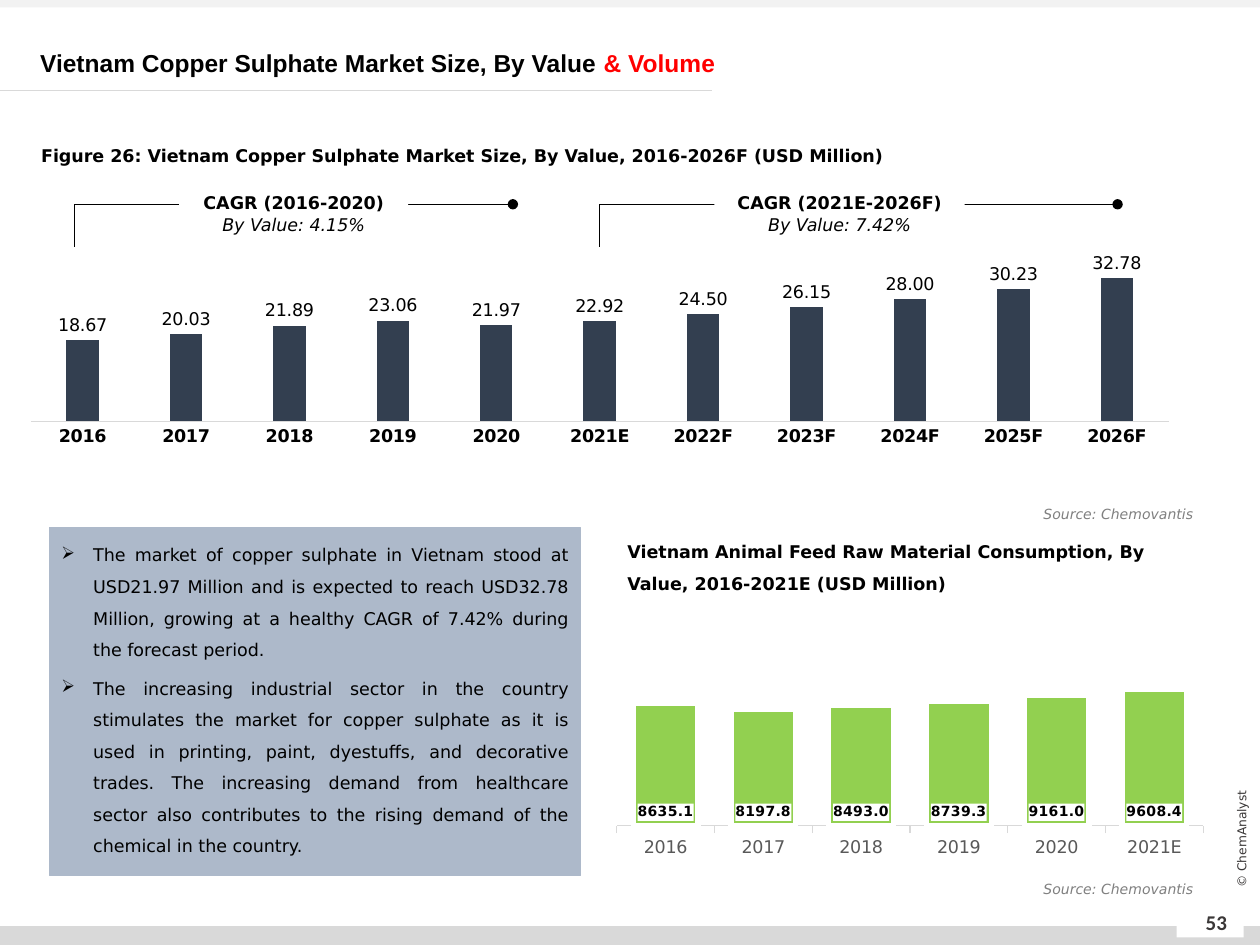
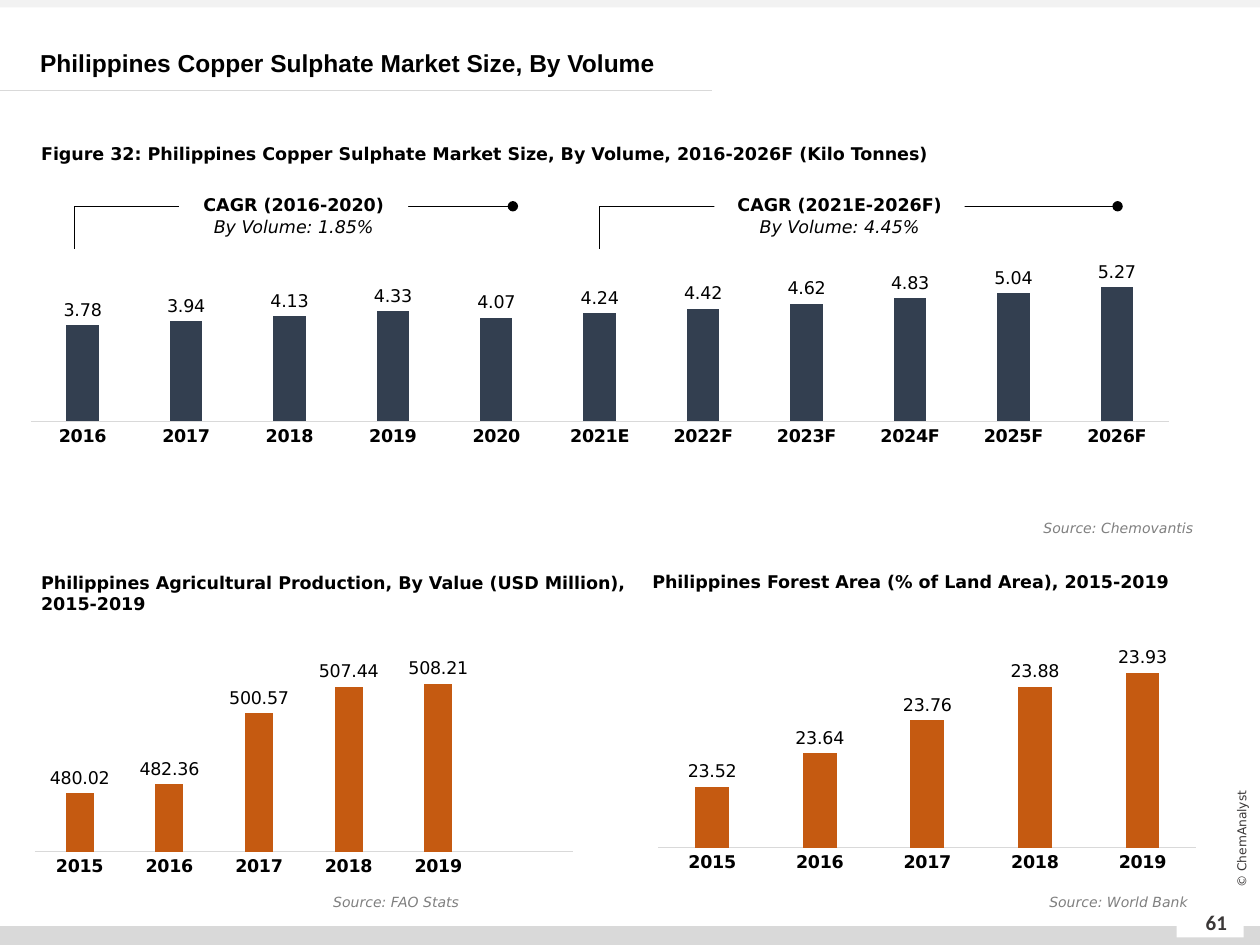
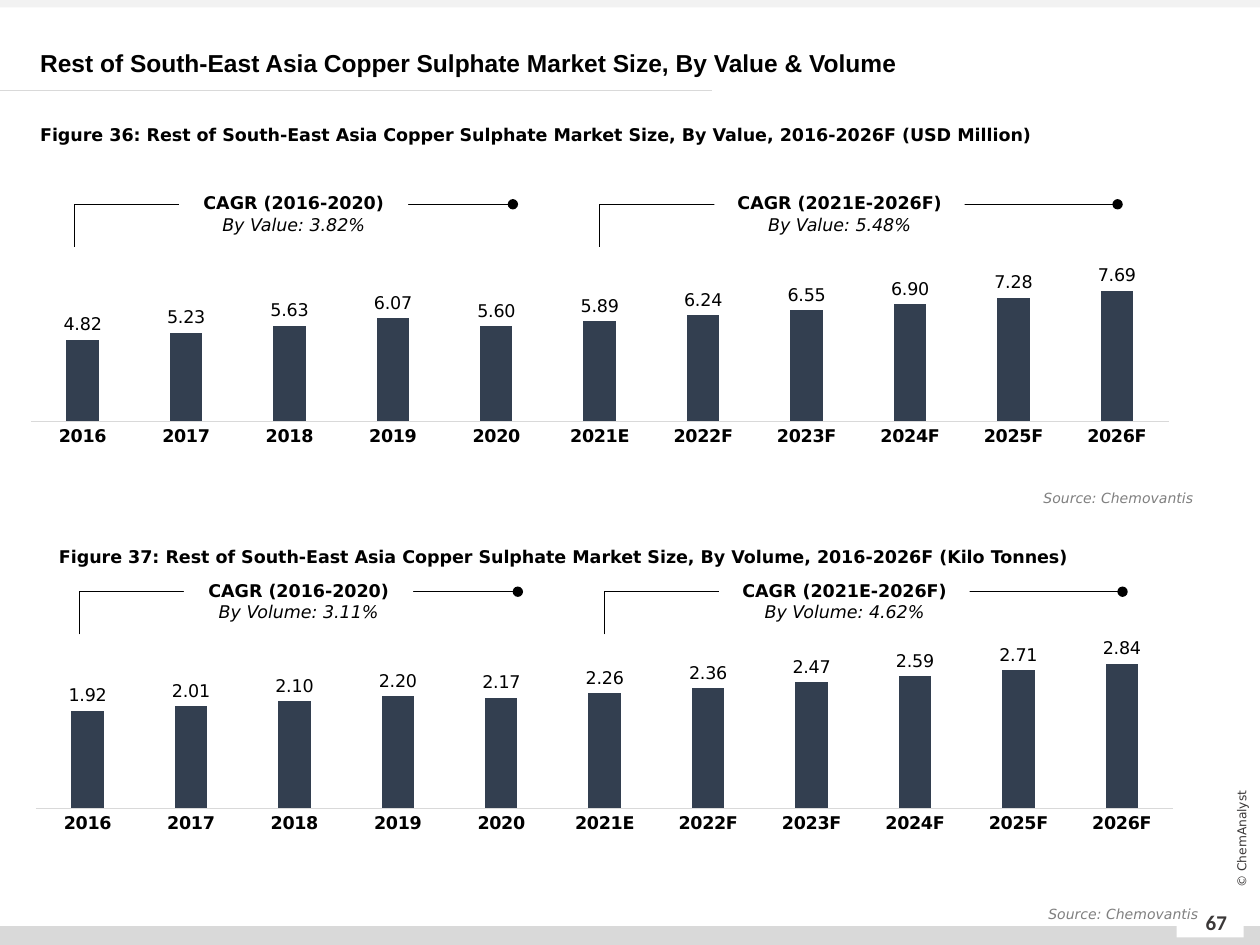
"""Build three slides on copper sulphate markets in South-East Asia."""
from lxml import etree
from pptx import Presentation, oxml
from pptx import util as u
from pptx.chart.data import CategoryChartData
from pptx.dml.color import RGBColor
from pptx.enum import chart as ch, shapes, text
from pptx.oxml.ns import nsdecls, qn

hues = {"ink": "000000", "red": "FF0000", "white": "FFFFFF", "dark": "3B3838",
        "gray": "808080", "tick": "595959", "rule": "D9D9D9", "top": "F2F2F2",
        "navy": "333F50", "rust": "C55A11", "green": "92D050", "panel": "ADB9CA"}
rgb = {key: RGBColor.from_string(val) for key, val in hues.items()}
sans = "DejaVu Sans"
styles = {"title": (14, "Arial", "ink", True, False),
          "accent": (14, "Arial", "red", True, False),
          "page": (12, "Calibri", "dark", True, False),
          "rights": (7, sans, "dark", False, False),
          "head": (10, sans, "ink", True, False),
          "body": (10, sans, "ink", False, False),
          "rate": (10, sans, "ink", False, True),
          "source": (8, sans, "gray", False, True)}
left, mid, right, full = (text.PP_ALIGN.LEFT, text.PP_ALIGN.CENTER,
                          text.PP_ALIGN.RIGHT, text.PP_ALIGN.JUSTIFY)


def put(slide, box, paras=(), fill=None, align=left, space=None, middle=False):
    """Add a box, filled or plain, with paragraphs of (text, style) runs."""
    area = [u.Cm(n) for n in box]
    if fill:
        shape = slide.shapes.add_shape(shapes.MSO_SHAPE.RECTANGLE, *area)
        shape.shadow.inherit = False
        shape.fill.solid()
        shape.fill.fore_color.rgb = rgb[fill]
        shape.line.fill.background()
    else:
        shape = slide.shapes.add_textbox(*area)
    frame = shape.text_frame
    frame.word_wrap = True
    frame.vertical_anchor = text.MSO_ANCHOR.MIDDLE if middle else text.MSO_ANCHOR.TOP
    for i, runs in enumerate(paras):
        para = frame.add_paragraph() if i else frame.paragraphs[0]
        para.alignment = align
        if space:
            para.line_spacing = space
        for words, style in runs:
            run = para.add_run()
            run.text = words
            font = run.font
            size, font.name, hue, font.bold, font.italic = styles[style]
            font.size = u.Pt(size)
            font.color.rgb = rgb[hue]
    return shape


def plot(slide, box, cats, vals, hue, low, high, inner, gap=219, form="0.00"):
    """Add a column chart with value labels and no value axis."""
    data = CategoryChartData()
    data.categories = cats
    data.add_series("Series 1", vals)
    chart = slide.shapes.add_chart(ch.XL_CHART_TYPE.COLUMN_CLUSTERED,
                                   *[u.Cm(n) for n in box], data).chart
    chart.has_legend = chart.has_title = False
    chart.font.name, chart.font.size = sans, u.Pt(10)
    chart.font.color.rgb = rgb["ink"]
    axis = chart.value_axis
    axis.visible = axis.has_major_gridlines = False
    axis.minimum_scale, axis.maximum_scale = low, high
    axis = chart.category_axis
    axis.major_tick_mark = ch.XL_TICK_MARK.NONE
    axis.format.line.color.rgb = rgb["rule"]
    axis.format.line.width = u.Pt(0.75)
    font = axis.tick_labels.font
    font.name, font.size, font.bold = sans, u.Pt(10), True
    font.color.rgb = rgb["ink"]
    cols = chart.plots[0]
    cols.gap_width, cols.overlap, cols.vary_by_categories = gap, -27, False
    fill = cols.series[0].format.fill
    fill.solid()
    fill.fore_color.rgb = rgb[hue]
    cols.has_data_labels = True
    tags = cols.data_labels
    tags.show_value = True
    tags.number_format, tags.number_format_is_linked = form, False
    tags.position = ch.XL_LABEL_POSITION.OUTSIDE_END
    tags.font.name, tags.font.size = sans, u.Pt(10)
    tags.font.color.rgb = rgb["ink"]
    area = chart.element.find(".//" + qn("c:plotArea"))
    for old in area.findall(qn("c:layout")):
        area.remove(old)
    spot = etree.SubElement(area, qn("c:layout"))
    area.insert(0, spot)
    spot = etree.SubElement(spot, qn("c:manualLayout"))
    marks = [("layoutTarget", "inner"), ("xMode", "edge"), ("yMode", "edge")]
    for key, val in marks + list(zip("xywh", inner)):
        etree.SubElement(spot, qn("c:" + key)).set("val", str(val))
    return chart


years = ["2016", "2017", "2018", "2019", "2020",
         "2021E", "2022F", "2023F", "2024F", "2025F", "2026F"]
wide, low = (0, 0.16, 1, 0.584), (0, 0.16, 1, 0.712)
credit = "Source: Chemovantis"

decks = [
    {"page": "53",
     "title": [("Vietnam Copper Sulphate Market Size, By Value ", "title"),
               ("& Volume", "accent")],
     "heads": [((0.58, 2.59, 22.4, 0.81), 1.5, "Figure 26: Vietnam Copper Sulphate Market Size, By Value, 2016-2026F (USD Million)"),
               ((12.4, 10.57, 12.14, 1.45), 1.5, "Vietnam Animal Feed Raw Material Consumption, By Value, 2016-2021E (USD Million)")],
     "markets": [(0.61, 4.57, 3.58, 35, "Value", "4.15%", "7.42%",
                  [18.67, 20.03, 21.89, 23.06, 21.97, 22.92, 24.5, 26.15, 28, 30.23, 32.78])],
     "sources": [((18.19, 10.06, 6.12, 0.61), credit), ((18.19, 17.63, 6.12, 0.61), credit)]},
    {"page": "61",
     "title": [("Philippines Copper Sulphate Market Size, By Volume", "title")],
     "heads": [((0.58, 2.54, 22.4, 0.81), 1.5, "Figure 32: Philippines Copper Sulphate Market Size, By Volume, 2016-2026F (Kilo Tonnes)"),
               ((0.58, 11.4, 12.73, 1.12), None, "Philippines Agricultural Production, By Value (USD Million), 2015-2019"),
               ((12.9, 11.38, 12.73, 0.69), None, "Philippines Forest Area (% of Land Area), 2015-2019")],
     "markets": [(0.61, 4.57, 3.62, 6, "Volume", "1.85%", "4.45%",
                  [3.78, 3.94, 4.13, 4.33, 4.07, 4.24, 4.42, 4.62, 4.83, 5.04, 5.27])],
     "sources": [((18.19, 10.34, 6.12, 0.61), credit),
                 ((6.33, 17.88, 3.18, 0.61), "Source: FAO Stats"),
                 ((17.7, 17.88, 6.5, 0.61), "Source: World Bank")]},
    {"page": "67",
     "title": [("Rest of South-East Asia Copper Sulphate Market Size, By Value & Volume", "title")],
     "heads": [((0.56, 2.16, 22.4, 0.81), 1.5, "Figure 36: Rest of South-East Asia Copper Sulphate Market Size, By Value, 2016-2026F (USD Million)"),
               ((0.94, 10.67, 22.4, 0.81), 1.5, "Figure 37: Rest of South-East Asia Copper Sulphate Market Size, By Volume, 2016-2026F (Kilo Tonnes)")],
     "markets": [(0.61, 4.57, 3.58, 9, "Value", "3.82%", "5.48%",
                  [4.82, 5.23, 5.63, 6.07, 5.6, 5.89, 6.24, 6.55, 6.9, 7.28, 7.69]),
                 (0.71, 12.37, 11.39, 3, "Volume", "3.11%", "4.62%",
                  [1.92, 2.01, 2.1, 2.2, 2.17, 2.26, 2.36, 2.47, 2.59, 2.71, 2.84])],
     "sources": [((18.19, 9.75, 6.12, 0.61), credit), ((18.29, 18.14, 6.12, 0.61), credit)]},
]

prs = Presentation()
prs.slide_width, prs.slide_height = u.Cm(25.4), u.Cm(19.05)
pages = []
for deck in decks:
    slide = prs.slides.add_slide(prs.slide_layouts[6])
    pages.append(slide)
    put(slide, (0, 18.67, 25.4, 0.38), fill="rule")
    put(slide, (0, 0, 25.4, 0.15), fill="top")
    put(slide, (23.72, 18.34, 1.35, 0.56), fill="white")
    rule = slide.shapes.add_connector(shapes.MSO_CONNECTOR.STRAIGHT,
                                      u.Cm(0), u.Cm(1.83), u.Cm(14.35), u.Cm(1.83))
    rule.line.color.rgb, rule.line.width = rgb["rule"], u.Pt(0.5)
    etree.SubElement(rule.element.spPr, qn("a:effectLst"))
    put(slide, (23.9, 18.08, 1.24, 1.02), [[(deck["page"], "page")]], align=mid, middle=True)
    side = put(slide, (23.5, 16.71, 3.05, 0.41), [[("© ChemAnalyst", "rights")]],
               align=mid, middle=True)
    side.rotation = 270
    put(slide, (0.56, 0.86, 24.79, 0.81), [deck["title"]], space=u.Pt(17), middle=True)

    for x, y, top, high, kind, past, next_, vals in deck["markets"]:
        plot(slide, (x, y, 22.96, 5.28), years, vals, "navy", 0, high, wide)
        spans = [(0.89, 8.84, 3, 4.62, "2016-2020", past),
                 (11.48, 10.44, 13.79, 5.05, "2021E-2026F", next_)]
        for start, span, inset, width, term, rate in spans:
            edge = top + 0.54
            bend = slide.shapes.add_connector(
                shapes.MSO_CONNECTOR.ELBOW, u.Cm(x + start), u.Cm(edge + 0.86),
                u.Cm(x + start + span), u.Cm(edge))
            bend.line.color.rgb, bend.line.width = rgb["ink"], u.Pt(0.5)
            props = bend.element.spPr
            etree.SubElement(props.find(qn("a:ln")), qn("a:tailEnd")).set("type", "oval")
            etree.SubElement(props, qn("a:effectLst"))
            guide = etree.SubElement(props.find(".//" + qn("a:avLst")), qn("a:gd"))
            guide.set("name", "adj1")
            guide.set("fmla", "val 0")
            put(slide, (x + inset, top, width, 1.45),
                [[(f"CAGR ({term})", "head")], [(f"By {kind}: {rate}", "rate")]],
                fill="white", align=mid, middle=True)

    for box, space, words in deck["heads"]:
        put(slide, box, [[(words, "head")]], space=space)
    for box, words in deck["sources"]:
        put(slide, box, [[(words, "source")]], align=right)

feed = plot(pages[0], (11.99, 12.32, 12.7, 5.16), years[:6],
            [8635.1, 8197.8, 8493, 8739.3, 9161, 9608.4], "green", 10, 12000,
            (0.035, 0.172, 0.931, 0.667), 51, "0.0")
edge = feed.plots[0].series[0].format.line
edge.color.rgb, edge.width = rgb["white"], u.Pt(3)
axis = feed.category_axis
axis.major_tick_mark = ch.XL_TICK_MARK.OUTSIDE
axis.tick_labels.font.bold = False
axis.tick_labels.font.color.rgb = rgb["tick"]
tags = feed.plots[0].data_labels
tags.position = ch.XL_LABEL_POSITION.INSIDE_BASE
tags.font.size, tags.font.bold = u.Pt(8), True
back = oxml.parse_xml(f'<c:spPr {nsdecls("c", "a")}><a:solidFill>'
                      f'<a:srgbClr val="{hues["white"]}"/></a:solidFill></c:spPr>')
feed.element.find(".//" + qn("c:dLbls")).find(qn("c:numFmt")).addnext(back)

notes = ["The market of copper sulphate in Vietnam stood at USD21.97 Million and is expected to reach USD32.78 Million, growing at a healthy CAGR of 7.42% during the forecast period.",
         "The increasing industrial sector in the country stimulates the market for copper sulphate as it is used in printing, paint, dyestuffs, and decorative trades. The increasing demand from healthcare sector also contributes to the rising demand of the chemical in the country."]
panel = put(pages[0], (0.99, 10.64, 10.72, 7.01), [[(note, "body")] for note in notes],
            fill="panel", align=full, space=1.5)
panel.line.color.rgb, panel.line.width = rgb["panel"], u.Pt(0.5)
for i, para in enumerate(panel.text_frame.paragraphs):
    para.space_before = u.Pt(4 * i)
    props = para._p.get_or_add_pPr()
    props.set("marL", str(u.Cm(0.64)))
    props.set("indent", str(u.Cm(-0.64)))
    etree.SubElement(props, qn("a:buChar")).set("char", "➢")

plot(pages[1], (0.69, 12.37, 10.87, 5.51), ["2015"] + years[:4] + [""],
     [480.02, 482.36, 500.57, 507.44, 508.21, None], "rust", 465, 515, low)
plot(pages[1], (13.26, 12.29, 10.87, 5.51), ["2015"] + years[:4],
     [23.52, 23.64, 23.76, 23.88, 23.93], "rust", 23.3, 24, low)

prs.save("out.pptx")
